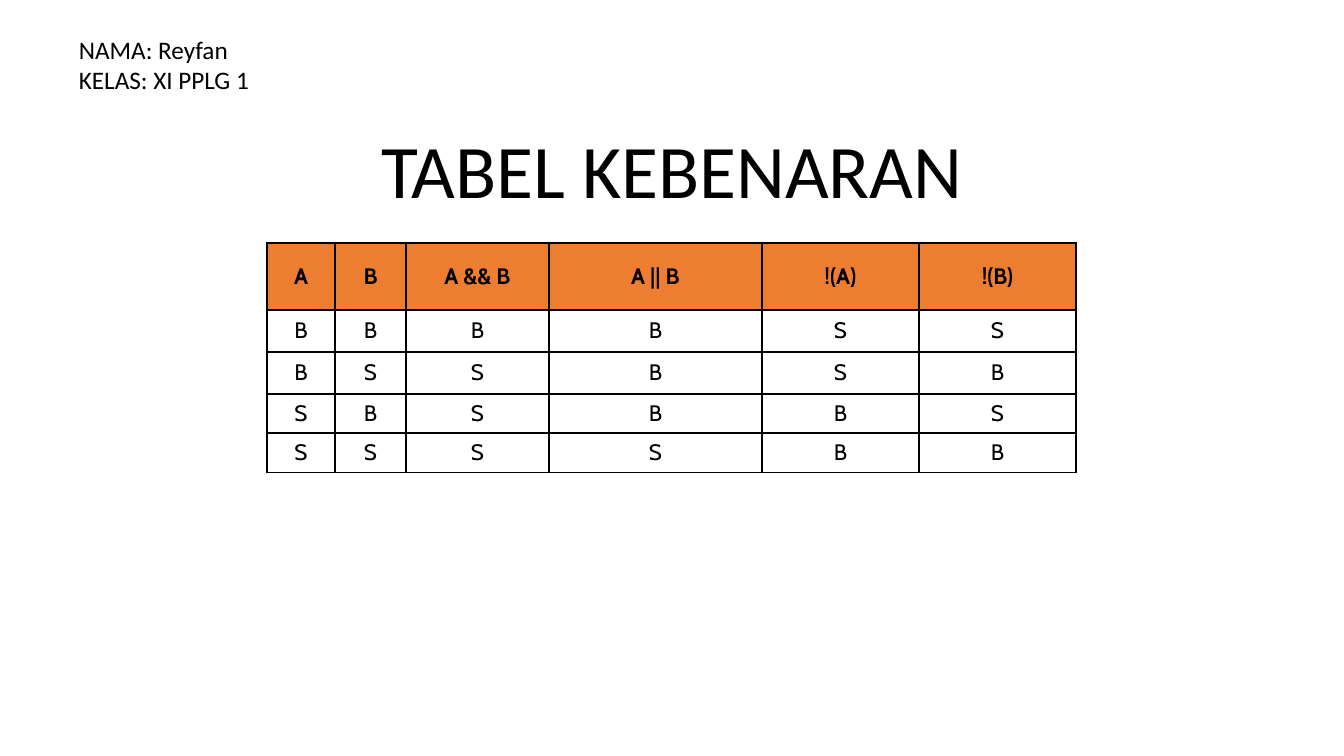
import pptx
import pptx.util
import pptx.dml.color
import pptx.enum.text
import pptx.oxml
import pptx.oxml.ns

PX = 914400 / 100.8  # EMU in one px
HUES = {"ink": "000000", "head": "ED7D31", "cell": "FFFFFF"}
ALIGN = pptx.enum.text.PP_ALIGN
ANCHOR = pptx.enum.text.MSO_ANCHOR
FIT = pptx.enum.text.MSO_AUTO_SIZE

COLS = [68, 71, 143, 213, 157, 157]
ROWS = [67, 42, 42, 39, 40]
HEADS = ["A", "B", "A && B", "A || B", "!(A)", "!(B)"]
TRUTH = ["BBBBSS", "BSSBSB", "SBSBBS", "SSSSBB"]


def emu(px):
    return pptx.util.Emu(round(px * PX))


def hue(name):
    return pptx.dml.color.RGBColor.from_string(HUES[name])


def write(frame, text, size=18, font="Calibri", bold=False,
          align=ALIGN.LEFT, space=1.0):
    """Fill a text frame, one paragraph per line of text."""
    frame.text = text
    for para in frame.paragraphs:
        para.alignment = align
        para.line_spacing = space
        for run in para.runs:
            run.font.size = pptx.util.Pt(size)
            run.font.name = font
            run.font.bold = bold
            run.font.color.rgb = hue("ink")


def border(cell):
    """Draw a thin line on each side of a cell."""
    props = cell._tc.get_or_add_tcPr()
    space = pptx.oxml.ns.nsdecls("a")
    for spot, side in enumerate(("lnL", "lnR", "lnT", "lnB")):
        line = pptx.oxml.parse_xml(
            f'<a:{side} {space} w="12700"><a:solidFill>'
            f'<a:srgbClr val="{HUES["ink"]}"/></a:solidFill></a:{side}>')
        props.insert(spot, line)


def add_title(slide, text, left, top, width, height):
    title = slide.shapes.title
    title.left, title.top = emu(left), emu(top)
    title.width, title.height = emu(width), emu(height)
    frame = title.text_frame
    frame.auto_size = FIT.NONE
    frame.vertical_anchor = ANCHOR.BOTTOM
    write(frame, text, size=54, align=ALIGN.CENTER, space=0.9)


def add_grid(slide, left, top):
    data = [HEADS, *TRUTH]
    table = slide.shapes.add_table(
        len(ROWS), len(COLS), emu(left), emu(top),
        emu(sum(COLS)), emu(sum(ROWS))).table
    for col, width in zip(table.columns, COLS):
        col.width = emu(width)
    for row, height in zip(table.rows, ROWS):
        row.height = emu(height)
    for r, line in enumerate(data):
        for c, text in enumerate(line):
            cell = table.cell(r, c)
            cell.vertical_anchor = ANCHOR.MIDDLE
            cell.margin_top = cell.margin_bottom = 0
            cell.fill.solid()
            cell.fill.fore_color.rgb = hue("cell" if r else "head")
            write(cell.text_frame, text, size=16, font="Cabin",
                  bold=r == 0, align=ALIGN.CENTER)
            border(cell)


def add_label(slide, text, left, top, width, height):
    box = slide.shapes.add_textbox(
        emu(left), emu(top), emu(width), emu(height))
    box.text_frame.word_wrap = False
    box.text_frame.auto_size = FIT.SHAPE_TO_FIT_TEXT
    write(box.text_frame, text)


def main():
    deck = pptx.Presentation()
    deck.slide_width, deck.slide_height = emu(1344), emu(756)
    slide = deck.slides.add_slide(deck.slide_layouts[0])

    # Unused subtitle
    sub = slide.placeholders[1].element
    sub.getparent().remove(sub)

    # Title, truth table, student details
    add_title(slide, "TABEL KEBENARAN", 168, 124, 1008, 96)
    add_grid(slide, 267, 243)
    add_label(slide, "NAMA: Reyfan\nKELAS: XI PPLG 1", 69, 29, 199, 71)

    deck.save("out.pptx")


if __name__ == "__main__":
    main()
